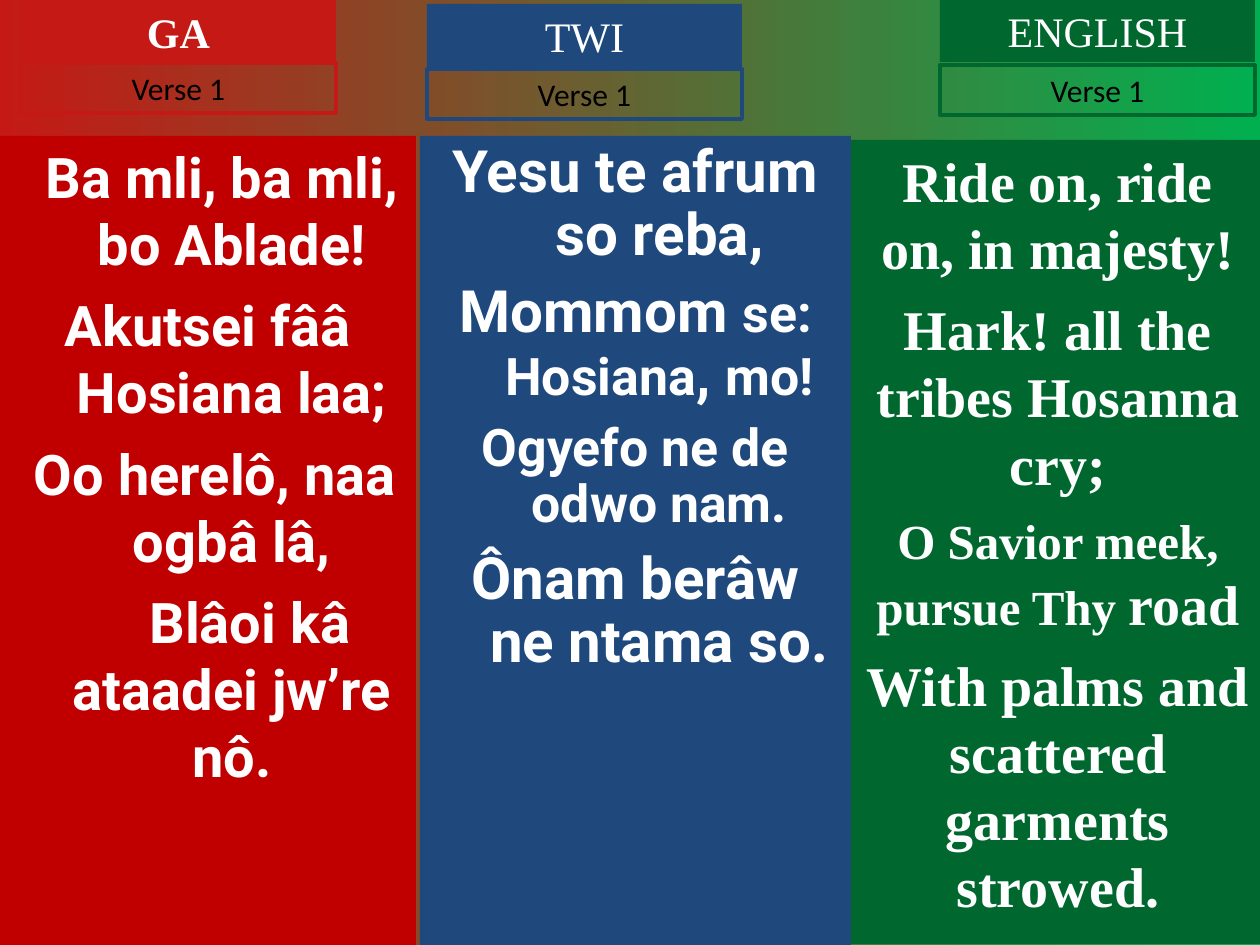
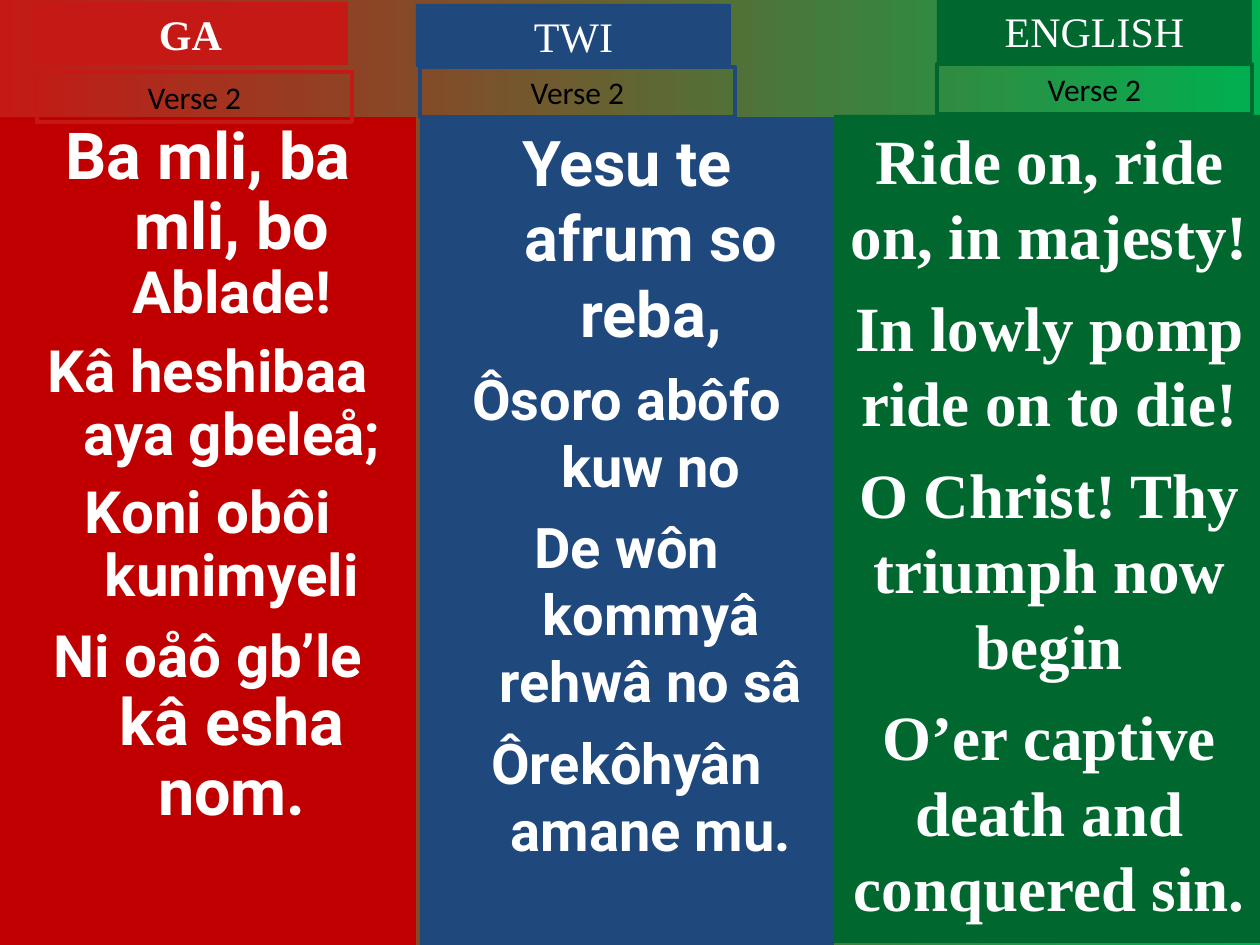
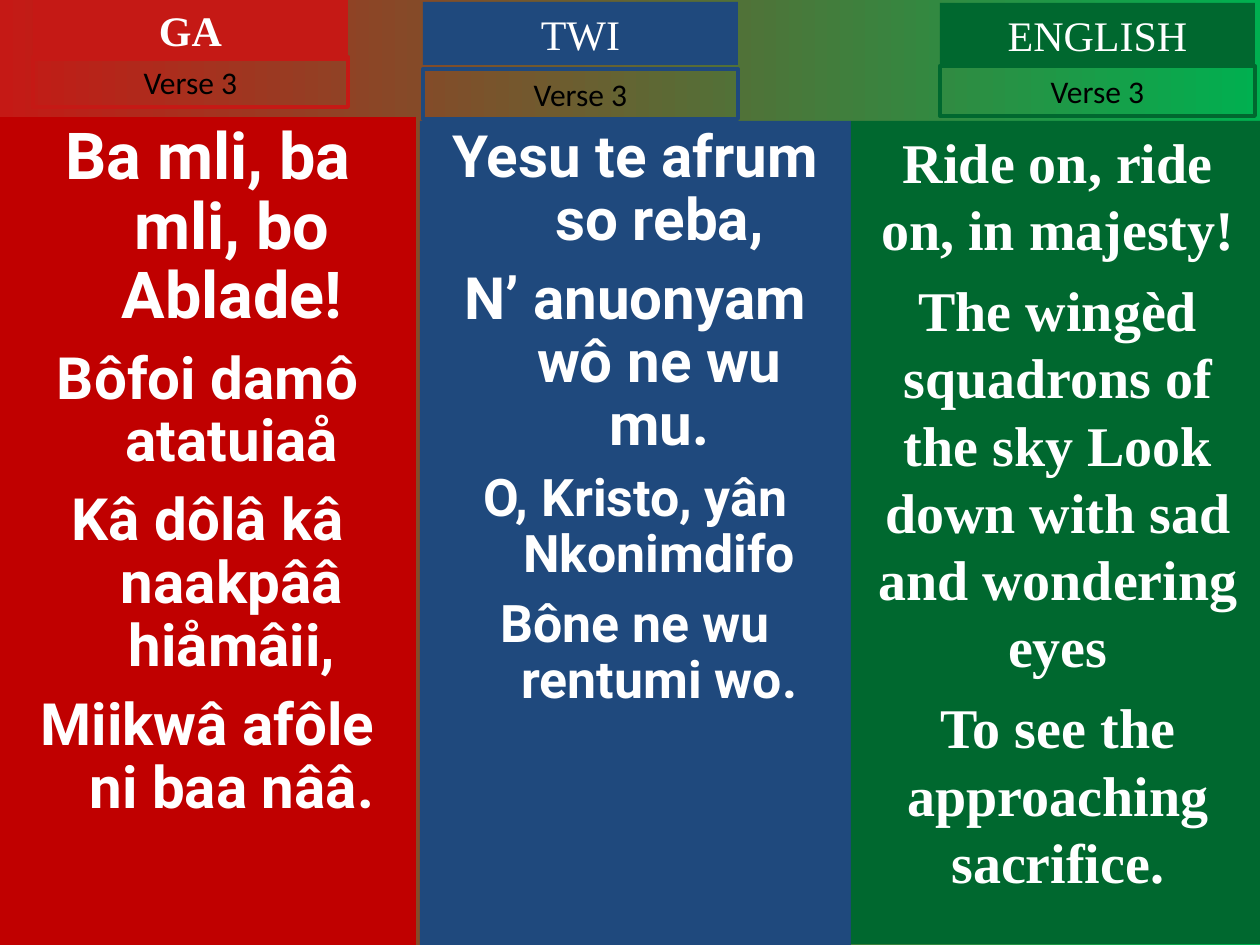
import math

import pptx
import pptx.dml.color
import pptx.enum.shapes
import pptx.enum.text
import pptx.util

EMU_PER_PX = 914400 / 126
HANGING = 48
TITLE_SIZE = (315, 63)
VERSE_SIZE = (315, 50)
SERIF = "Times New Roman"


def rgb(value):
    return pptx.dml.color.RGBColor.from_string(value)


def add_box(slide, box, paragraphs, *, font, color="FFFFFF", bold=False, fill=None,
            line=None, spacing=None, hanging=0, shifts=()):
    """Add a rectangle of centred text; a paragraph is a list of (text, size) runs.

    shifts moves the first line of each paragraph to the right, in px.
    """
    left, top, width, height = [round(px * EMU_PER_PX) for px in box]
    shape = slide.shapes.add_shape(
        pptx.enum.shapes.MSO_SHAPE.RECTANGLE, left, top, width, height)
    shape.shadow.inherit = False
    if fill:
        shape.fill.solid()
        shape.fill.fore_color.rgb = rgb(fill)
    else:
        shape.fill.background()
    if line:
        shape.line.color.rgb = rgb(line)
        shape.line.width = pptx.util.Pt(2.25)
    else:
        shape.line.fill.background()
    frame = shape.text_frame
    frame.word_wrap = True
    frame.vertical_anchor = pptx.enum.text.MSO_ANCHOR.TOP
    for index, runs in enumerate(paragraphs):
        paragraph = frame.add_paragraph() if index else frame.paragraphs[0]
        paragraph.alignment = pptx.enum.text.PP_ALIGN.CENTER
        if spacing:
            paragraph.line_spacing = spacing
        if index:
            paragraph.space_before = pptx.util.Pt(math.ceil(runs[-1][1] / 4))
        if hanging:
            shift = shifts[index] if shifts else 0
            properties = paragraph._p.get_or_add_pPr()
            properties.set("marL", str(round(hanging * EMU_PER_PX)))
            properties.set("indent", str(round((shift - hanging) * EMU_PER_PX)))
        for text, size in runs:
            run = paragraph.add_run()
            run.text = text
            run.font.name = font
            run.font.size = pptx.util.Pt(size)
            run.font.bold = bold
            run.font.color.rgb = rgb(color)


LANGUAGES = {
    "GA": {"title_fill": "C51915", "title_bold": True,
           "lyrics": {"fill": "C00000", "font": "Roboto", "hanging": HANGING}},
    "TWI": {"title_fill": "1F497D", "title_bold": False,
            "lyrics": {"fill": "1F497D", "font": "Roboto", "hanging": HANGING}},
    "ENGLISH": {"title_fill": "00682F", "title_bold": False,
                "lyrics": {"fill": "00682F", "font": SERIF}},
}

# Per verse and language: title and verse label corners, lyrics box, lyrics, extra format
VERSES = [
    {
        "GA": ((21, 0), (21, 63), (0, 136, 416, 809), [
            [("Ba mli, ba mli, bo Ablade!", 32)],
            [("Akutsei fââ Hosiana laa;", 32)],
            [("Oo herelô, naa ogbâ lâ,", 32)],
            [("Blâoi kâ ataadei jw’re nô.", 32)],
        ], {"shifts": (28, 0, 14, 84)}),
        "TWI": ((427, 4), (427, 69), (420, 136, 431, 809), [
            [("Yesu te afrum so reba,", 33.3)],
            [("Mommom ", 33.3), ("se: Hosiana", 29.6), (", ", 33.3), ("mo!", 29.6)],
            [("Ogyefo ne de odwo nam.", 29.6)],
            [("Ônam berâw ne ntama so.", 33.3)],
        ], {"spacing": 0.9}),
        "ENGLISH": ((940, -1), (940, 65), (851, 140, 414, 804), [
            [("Ride on, ride on, in majesty!", 32)],
            [("Hark! all the tribes Hosanna cry;", 32)],
            [("O Savior meek, pursue Thy ", 28), ("road", 32)],
            [("With palms and scattered garments strowed.", 32)],
        ], {}),
    },
    {
        "GA": ((33, 2), (37, 72), (0, 117, 416, 828), [
            [("Ba mli, ba mli, bo ", 37), ("Ablade!", 33.3)],
            [("Kâ heshibaa aya gbeleå;", 33.3)],
            [("Koni obôi kunimyeli", 33.3)],
            [("Ni oåô gb’le ", 33.3), ("kâ esha nom.", 37)],
        ], {"spacing": 0.9}),
        "TWI": ((416, 4), (420, 67), (420, 117, 414, 828), [
            [("Yesu te afrum so reba,", 36)],
            [("Ôsoro abôfo kuw no", 32)],
            [("De wôn kommyâ rehwâ no sâ", 32)],
            [("Ôrekôhyân amane mu.", 32)],
        ], {}),
        "ENGLISH": ((937, -1), (937, 64), (834, 115, 431, 828), [
            [("Ride on, ride on, in majesty!", 36)],
            [("In lowly pomp ride on to die!", 36)],
            [("O Christ! Thy triumph now begin", 36)],
            [("O’er captive death and conquered sin.", 36)],
        ], {}),
    },
    {
        "GA": ((33, -2), (33, 57), (0, 117, 416, 828), [
            [("Ba mli, ba mli, bo Ablade!", 37)],
            [("Bôfoi damô atatuiaå", 33.3)],
            [("Kâ dôlâ kâ naakpââ hiåmâii,", 33.3)],
            [("Miikwâ afôle ni baa nââ.", 33.3)],
        ], {"spacing": 0.9}),
        "TWI": ((423, 2), (423, 69), (420, 121, 431, 824), [
            [("Yesu te afrum so reba,", 33.3)],
            [("N’ anuonyam wô ne wu mu.", 33.3)],
            [("O, Kristo, yân Nkonimdifo", 29.6)],
            [("Bône ne wu rentumi wo.", 29.6)],
        ], {"spacing": 0.9}),
        "ENGLISH": ((940, 3), (940, 66), (851, 121, 414, 823), [
            [("Ride on, ride on, in majesty!", 32)],
            [("The wingèd squadrons of the sky Look down with sad and wondering eyes", 32)],
            [("To see the approaching sacrifice.", 32)],
        ], {}),
    },
]

hymn = pptx.Presentation()
hymn.slide_width = round(1260 * EMU_PER_PX)
hymn.slide_height = round(945 * EMU_PER_PX)

backdrop = hymn.slide_master.background.fill
backdrop.gradient()
backdrop.gradient_angle = 0
for stop, position, color in zip(backdrop.gradient_stops, (0, 1), ("C51915", "00B050")):
    stop.position = position
    stop.color.rgb = rgb(color)

for number, verse in enumerate(VERSES, start=1):
    slide = hymn.slides.add_slide(hymn.slide_layouts[6])
    for name, (title_at, label_at, lyrics_box, lyrics, extra) in verse.items():
        language = LANGUAGES[name]
        add_box(slide, lyrics_box, lyrics, bold=True, **language["lyrics"], **extra)
        add_box(slide, title_at + TITLE_SIZE, [[(name, 24)]], font=SERIF,
                bold=language["title_bold"], fill=language["title_fill"])
        add_box(slide, label_at + VERSE_SIZE, [[(f"Verse {number}", 18)]],
                font="Calibri", color="000000", line=language["title_fill"])

hymn.save("out.pptx")
